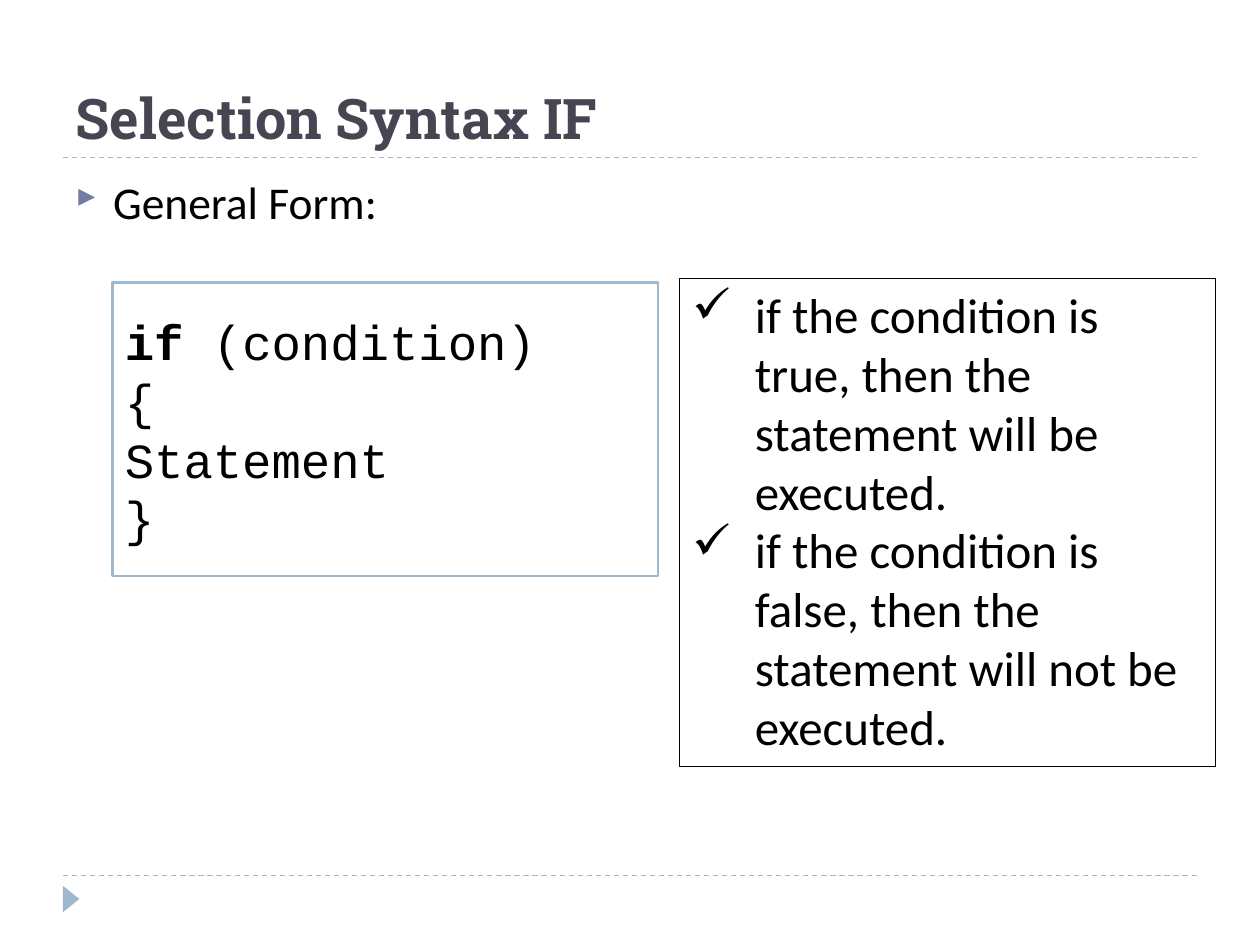
"""Build the slide on the syntax of the IF selection statement."""
from dataclasses import dataclass
from typing import Any, Optional

from lxml import etree
from pptx import Presentation
from pptx import util as u
from pptx.dml import color
from pptx.enum import dml, shapes, text
from pptx.oxml import ns


@dataclass(frozen=True)
class Theme:
    ink: str = "000000"
    paper: str = "FFFFFF"
    title: str = "464653"
    accent: str = "9FB8CD"
    marker: str = "727CA3"
    heading_font: str = "Roboto Slab"
    body_font: str = "Calibri"
    code_font: str = "Courier New"
    title_size: int = 32
    body_size: int = 26
    box_size: int = 28


@dataclass(frozen=True)
class Box:
    left: float
    top: float
    width: float
    height: float


@dataclass(frozen=True)
class Style:
    font: str
    size: int
    color: str


@dataclass(frozen=True)
class Bullet:
    char: str
    font: str
    color: str
    indent: float
    percent: int = 100


@dataclass(frozen=True)
class Panel:
    box: Box
    paragraphs: list[list[tuple[str, bool]]]
    style: Style
    bullet: Optional[Bullet] = None
    line: Optional[str] = None
    line_width: float = 0.75
    fill: Optional[str] = None
    anchor: Any = text.MSO_ANCHOR.TOP


THEME = Theme()
RULE_LEFT, RULE_RIGHT = 36, 684
RULE_TOPS = (500.4, 90)


def rgb(value: str) -> color.RGBColor:
    """Turn a hex string into a colour."""
    return color.RGBColor.from_string(value)


def apply(target: Any, values: dict[str, Any]) -> None:
    """Set each named attribute on the target."""
    for name, value in values.items():
        setattr(target, name, value)


def place(sp: Any, box: Box) -> None:
    """Move and size a shape."""
    apply(sp, {"left": u.Pt(box.left), "top": u.Pt(box.top),
               "width": u.Pt(box.width), "height": u.Pt(box.height)})


def add_run(p: Any, words: str, style: Style, bold: bool) -> None:
    """Append a formatted run."""
    r = p.add_run()
    r.text = words
    apply(r.font, {"name": style.font, "size": u.Pt(style.size), "bold": bold})
    r.font.color.rgb = rgb(style.color)


def set_bullet(p: Any, bullet: Bullet) -> None:
    """Give a paragraph a hanging symbol-font bullet."""
    props = p._p.get_or_add_pPr()
    props.set("marL", str(u.Pt(bullet.indent)))
    props.set("indent", str(-u.Pt(bullet.indent)))
    tint = etree.SubElement(props, ns.qn("a:buClr"))
    etree.SubElement(tint, ns.qn("a:srgbClr"), val=bullet.color)
    etree.SubElement(props, ns.qn("a:buSzPct"), val=str(bullet.percent * 1000))
    etree.SubElement(props, ns.qn("a:buFont"), typeface=bullet.font, charset="2")
    etree.SubElement(props, ns.qn("a:buChar"), char=bullet.char)


def set_frame(tf: Any, anchor: Any) -> None:
    """Set wrapping, anchor and insets of a text frame."""
    apply(tf, {"word_wrap": True, "auto_size": text.MSO_AUTO_SIZE.NONE,
               "vertical_anchor": anchor,
               "margin_left": u.Pt(7.2), "margin_right": u.Pt(7.2),
               "margin_top": u.Pt(3.6), "margin_bottom": u.Pt(3.6)})


def add_panel(slide: Any, panel: Panel) -> None:
    """Draw a text panel, framed when it has a line colour."""
    if panel.line:
        sp = slide.shapes.add_shape(shapes.MSO_SHAPE.RECTANGLE, 0, 0, 0, 0)
        sp.shadow.inherit = False
        sp.line.color.rgb = rgb(panel.line)
        sp.line.width = u.Pt(panel.line_width)
        if panel.fill:
            sp.fill.solid()
            sp.fill.fore_color.rgb = rgb(panel.fill)
        else:
            sp.fill.background()
    else:
        sp = slide.shapes.add_textbox(0, 0, 0, 0)
    place(sp, panel.box)
    tf = sp.text_frame
    set_frame(tf, panel.anchor)
    for i, runs in enumerate(panel.paragraphs):
        p = tf.add_paragraph() if i else tf.paragraphs[0]
        p.alignment = text.PP_ALIGN.LEFT
        if panel.bullet:
            set_bullet(p, panel.bullet)
        for words, bold in runs:
            add_run(p, words, panel.style, bold)


def add_rule(slide: Any, top: float) -> None:
    """Draw a dashed rule across the slide."""
    line = slide.shapes.add_connector(shapes.MSO_CONNECTOR.STRAIGHT, u.Pt(RULE_LEFT),
                                      u.Pt(top), u.Pt(RULE_RIGHT), u.Pt(top))
    apply(line.line, {"width": u.Pt(0.75), "dash_style": dml.MSO_LINE.DASH})
    line.line.color.rgb = rgb(THEME.accent)
    etree.SubElement(line._element.spPr, ns.qn("a:effectLst"))


def add_marker(slide: Any, box: Box) -> None:
    """Draw the footer triangle pointing right."""
    sp = slide.shapes.add_shape(shapes.MSO_SHAPE.ISOSCELES_TRIANGLE, 0, 0, 0, 0)
    place(sp, box)
    sp.rotation = 90
    sp.shadow.inherit = False
    sp.fill.solid()
    sp.fill.fore_color.rgb = rgb(THEME.accent)
    sp.line.fill.background()


def add_title(slide: Any, words: str, box: Box) -> None:
    """Fill and format the title placeholder."""
    sp = slide.shapes.title
    place(sp, box)
    set_frame(sp.text_frame, text.MSO_ANCHOR.BOTTOM)
    p = sp.text_frame.paragraphs[0]
    p.alignment = text.PP_ALIGN.LEFT
    add_run(p, words, Style(THEME.heading_font, THEME.title_size, THEME.title), True)


def main() -> None:
    """Assemble and save the slide."""
    prs = Presentation()
    apply(prs, {"slide_width": u.Pt(720), "slide_height": u.Pt(540)})
    slide = prs.slides.add_slide(prs.slide_layouts[5])
    for top in RULE_TOPS:
        add_rule(slide, top)
    add_marker(slide, Box(33.1, 509, 15.1, 9.4))
    add_title(slide, "Selection Syntax IF", Box(36, 12.2, 648, 77.8))
    outcomes = [("true", "be"), ("false", "not be")]
    panels = [
        Panel(Box(36, 95.8, 648, 388.8), [[("General Form:", False)]],
              Style(THEME.body_font, THEME.body_size, THEME.ink),
              Bullet("}", "Wingdings 3", THEME.marker, 21.6, 76)),
        Panel(Box(388.3, 159.1, 306.2, 278.8),
              [[(f"if the condition is {value}, then the statement will {verb} executed.",
                 False)] for value, verb in outcomes],
              Style(THEME.body_font, THEME.box_size, THEME.ink),
              Bullet("ü", "Wingdings", THEME.ink, 36), line=THEME.ink),
        Panel(Box(64.3, 161.3, 311.8, 167.8),
              [[("if", True), (" (condition)", False)],
               *([(code, False)] for code in ("{", "Statement", "}"))],
              Style(THEME.code_font, THEME.box_size, THEME.ink),
              line=THEME.accent, line_width=1.5, fill=THEME.paper,
              anchor=text.MSO_ANCHOR.MIDDLE),
    ]
    for panel in panels:
        add_panel(slide, panel)
    prs.save("out.pptx")


if __name__ == "__main__":
    main()
